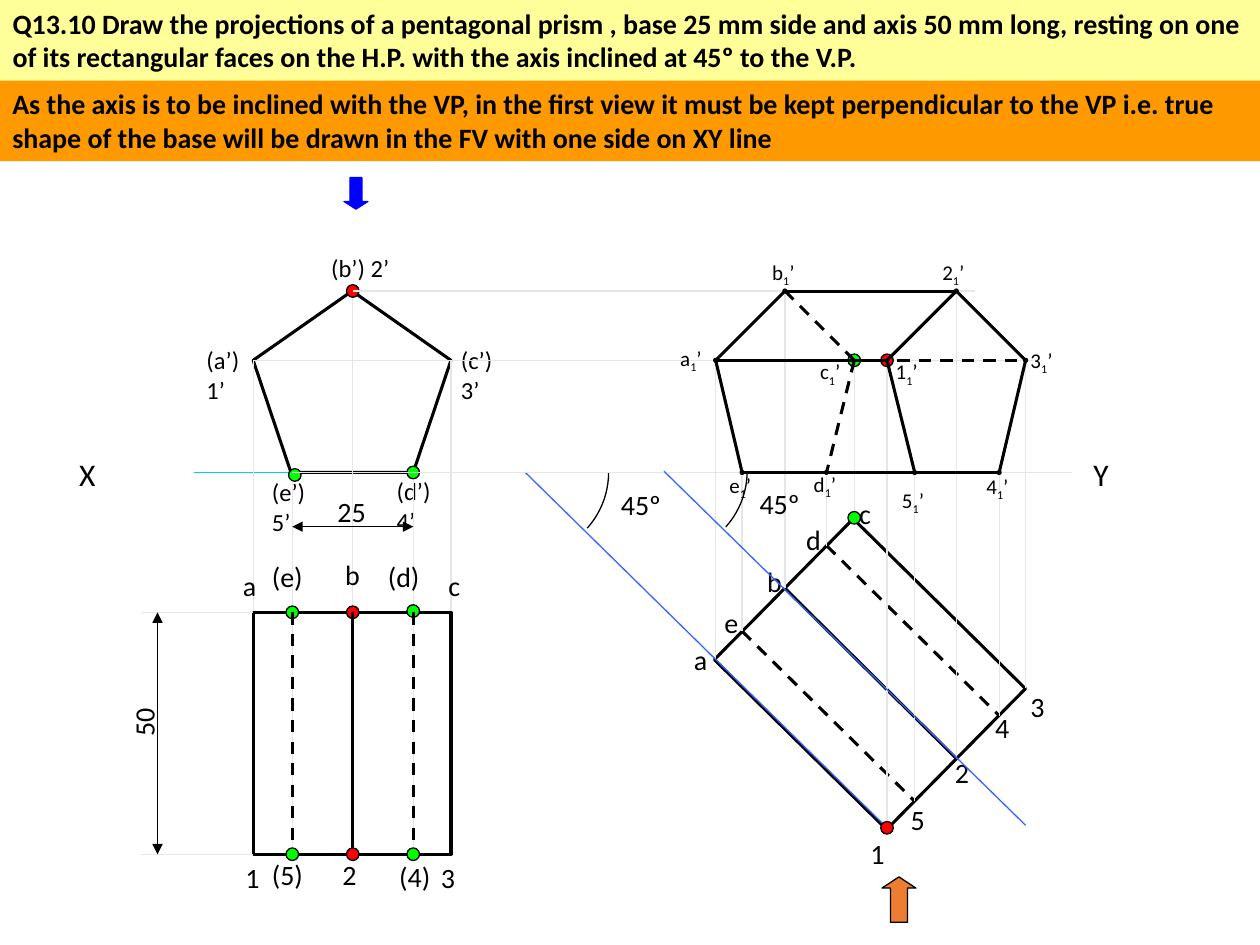
from dataclasses import dataclass
from typing import NamedTuple

from pptx import Presentation
from pptx.dml.color import RGBColor
from pptx.enum.dml import MSO_LINE
from pptx.enum.shapes import MSO_CONNECTOR, MSO_SHAPE
from pptx.enum.text import MSO_ANCHOR, MSO_AUTO_SIZE, PP_ALIGN
from pptx.oxml.ns import qn
from pptx.util import Inches, Pt
from lxml.etree import SubElement


@dataclass(frozen=True)
class Theme:
    font: str = "Calibri"
    ink: str = "000000"
    question: str = "FFFF99"
    hint: str = "FF9900"
    guide: str = "E7E6E6"
    ground: str = "00CCFF"
    slant: str = "3366FF"
    view_arrow: str = "0000FF"
    front_arrow: str = "ED7D31"
    red: str = "FF0000"
    green: str = "00FF00"
    vertex: str = "333333"
    thin: float = 0.75
    thick: float = 1.75
    axis_size: int = 18
    body_size: int = 16
    pair_size: int = 14
    index_size: int = 12


class Label(NamedTuple):
    text: str
    x: float
    y: float
    w: float = 0.36
    h: float = 0.37
    size: int = 16


T = Theme()
APEX, SHOULDER, GROUND = 2.31, 2.86, 3.75
REAR, FRONT = 4.86, 6.78
LEFT, LEFT_BASE, MIDDLE, RIGHT_BASE, RIGHT = 2.01, 2.32, 2.8, 3.28, 3.58

# Corners of the turned prism: plan position, and height in the front view
PLAN = {
    "a": (5.68, 5.23), "e": (5.89, 5.01), "b": (6.23, 4.67), "d": (6.56, 4.33), "c": (6.78, 4.11),
    "1": (7.04, 6.57), "5": (7.26, 6.36), "2": (7.59, 6.02), "4": (7.93, 5.68), "3": (8.14, 5.46),
}
LEVEL = {**dict.fromkeys("ac13", SHOULDER), **dict.fromkeys("b2", APEX), **dict.fromkeys("de45", GROUND)}
ELEVATION = {name: (x, LEVEL[name]) for name, (x, _) in PLAN.items()}

PAIR_LABELS = [
    Label(text, x, y, w, h, T.pair_size) for text, x, y, w, h in (
        ("(a’) 1’", 1.54, 2.69, 0.58, 0.57), ("(b’) 2’", 2.53, 1.96, 0.75, 0.33),
        ("(c’) 3’", 3.56, 2.69, 0.58, 0.57), ("(d’) 4’", 3.05, 3.73, 0.58, 0.57),
        ("(e’) 5’", 2.06, 3.74, 0.58, 0.57))
]
AXIS_LABELS = [Label(text, x, 3.56, 0.43, 0.4, T.axis_size) for text, x in (("X", 0.53), ("Y", 8.58))]
PLAN_LABELS = [
    Label("a", 1.83, 4.46), Label("b", 2.64, 4.38), Label("c", 3.46, 4.46),
    Label("(d)", 2.98, 4.39, 0.48), Label("(e)", 2.06, 4.39, 0.52),
    Label("1", 1.85, 6.78), Label("2", 2.62, 6.76), Label("3", 3.4, 6.78),
    Label("(5)", 2.06, 6.76, 0.47), Label("(4)", 3.07, 6.77, 0.49),
]
TURNED_LABELS = [
    Label("a", 5.41, 5.05), Label("b", 5.99, 4.43), Label("c", 6.72, 3.89), Label("d", 6.3, 4.1),
    Label("e", 5.65, 4.76), Label("1", 6.81, 6.59), Label("2", 7.48, 5.95), Label("3", 8.08, 5.42),
    Label("5", 7.13, 6.32), Label("4", 7.8, 5.59),
]
INDEXED_LABELS = [
    Label(text, x, y, 0.42, 0.3, T.index_size) for text, x, y in (
        ("a", 5.3, 2.69), ("b", 6.03, 2.01), ("c", 6.41, 2.8), ("d", 6.36, 3.69), ("e", 5.69, 3.7),
        ("1", 7.01, 2.8), ("2", 7.38, 2.01), ("3", 8.08, 2.71), ("4", 7.73, 3.71), ("5", 7.06, 3.82))
]


def rgb(color: str) -> RGBColor:
    return RGBColor.from_string(color)


def fill_solid(sp, color: str) -> None:
    sp.fill.solid()
    sp.fill.fore_color.rgb = rgb(color)


def set_text(sp, parts: list[str], size: int, bold: bool = False) -> None:
    """Write the parts as runs of one paragraph; every second part is a subscript."""
    tf = sp.text_frame
    tf.word_wrap = True
    tf.auto_size = MSO_AUTO_SIZE.SHAPE_TO_FIT_TEXT
    tf.vertical_anchor = MSO_ANCHOR.TOP
    p = tf.paragraphs[0]
    p.alignment = PP_ALIGN.LEFT
    p.font.name, p.font.size, p.font.bold = T.font, Pt(size), bold
    p.font.color.rgb = rgb(T.ink)
    for i, part in enumerate(parts):
        r = p.add_run()
        r.text = part
        if i % 2:
            r._r.get_or_add_rPr().set("baseline", "-25000")


def add_label(slide, label: Label, indexed: bool = False, rotation: float = 0) -> None:
    sp = slide.shapes.add_textbox(*map(Inches, label[1:5]))
    sp.rotation = rotation
    set_text(sp, [label.text, "1", "’"] if indexed else [label.text], label.size)


def add_outline(slide, kind, x, y, w, h, fill: str | None = None, line: str = T.ink, width: float = T.thin):
    sp = slide.shapes.add_shape(kind, *map(Inches, (x, y, w, h)))
    sp.shadow.inherit = False
    if fill:
        fill_solid(sp, fill)
    else:
        sp.fill.background()
    sp.line.color.rgb = rgb(line)
    sp.line.width = Pt(width)
    return sp


def add_bar(slide, sp, y: float, color: str, text: str) -> None:
    sp.left, sp.top, sp.width, sp.height = map(Inches, (0, y, 10, 0.64))
    fill_solid(sp, color)
    set_text(sp, [text], T.body_size, bold=True)


def add_dot(slide, x: float, y: float, color: str, d: float = 0.1) -> None:
    add_outline(slide, MSO_SHAPE.OVAL, x - d / 2, y - d / 2, d, d, color)


def add_line(slide, start, end, color: str = T.ink, width: float = T.thin,
             dashed: bool = False, arrows: bool = False, halves=None) -> None:
    """Draw a line; halves is a rectangle whose top and bottom middles it joins."""
    c = slide.shapes.add_connector(MSO_CONNECTOR.STRAIGHT, *map(Inches, (*start, *end)))
    if halves is not None:
        c.begin_connect(halves, 0)
        c.end_connect(halves, 2)
        # The joins ignore the rectangle's rotation, so place the ends again
        c.begin_x, c.begin_y, c.end_x, c.end_y = map(Inches, (*start, *end))
    c.line.color.rgb = rgb(color)
    c.line.width = Pt(width)
    if dashed:
        c.line.dash_style = MSO_LINE.DASH
    if arrows:
        for tag in ("a:headEnd", "a:tailEnd"):
            SubElement(c.line._get_or_add_ln(), qn(tag)).set("type", "triangle")
    SubElement(c._element.spPr, qn("a:effectLst"))


def add_angle(slide, x: float, y: float, radius: float = 0.66) -> None:
    """Draw the arc that marks the slant below the ground line, centred at x, y."""
    sp = add_outline(slide, MSO_SHAPE.ARC, x - radius, y - radius, 2 * radius, 2 * radius)
    sp.adjustments[0] = 0
    sp.adjustments[1] = 42 * 0.6
    add_label(slide, Label("45º", x + radius, y + 0.07, 0.58))


def draw_first_views(slide) -> None:
    add_line(slide, (1.54, GROUND), (8.4, GROUND), T.ground)
    add_outline(slide, MSO_SHAPE.REGULAR_PENTAGON, LEFT, APEX, RIGHT - LEFT, GROUND - APEX, width=T.thick)
    for label in AXIS_LABELS + PAIR_LABELS:
        add_label(slide, label)
    for x, y in ((LEFT, SHOULDER), (MIDDLE, APEX), (RIGHT, SHOULDER), (LEFT_BASE, GROUND), (RIGHT_BASE, GROUND)):
        add_line(slide, (x, y), (x, FRONT), T.guide)
    plan = add_outline(slide, MSO_SHAPE.RECTANGLE, LEFT, REAR, RIGHT - LEFT, FRONT - REAR, width=T.thick)
    sp = add_outline(slide, MSO_SHAPE.DOWN_ARROW, 2.73, 1.41, 0.19, 0.25, T.view_arrow, T.view_arrow)
    sp.adjustments[1] = 0.32
    for y in (APEX, REAR):
        add_dot(slide, MIDDLE, y, T.red)
    add_line(slide, (MIDDLE, REAR), (MIDDLE, FRONT), width=T.thick, halves=plan)
    for x, y in ((2.34, 3.77), (RIGHT_BASE, GROUND), (LEFT_BASE, REAR), (RIGHT_BASE, 4.85)):
        add_dot(slide, x, y, T.green)
    for x in (LEFT_BASE, RIGHT_BASE):
        add_line(slide, (x, REAR), (x, FRONT), width=T.thick, dashed=True)
    add_line(slide, (LEFT_BASE, 4.18), (RIGHT_BASE, 4.18), arrows=True)
    add_label(slide, Label("25", 2.58, 3.88, 0.58))
    for y in (REAR, FRONT):
        add_line(slide, (LEFT, y), (1.12, y), T.guide)
    add_line(slide, (1.25, REAR), (1.25, FRONT), arrows=True)
    add_label(slide, Label("50", 0.85, 5.47, 0.58), rotation=270)
    for label in PLAN_LABELS:
        add_label(slide, label)


def draw_turned_views(slide) -> None:
    add_angle(slide, 4.17, GROUND)
    plan = add_outline(slide, MSO_SHAPE.RECTANGLE, 6.12, 4.39, 1.57, 1.92, width=T.thick)
    plan.rotation = 314.6
    add_line(slide, PLAN["b"], PLAN["2"], width=T.thick, halves=plan)
    for rear, front in ("e5", "d4"):
        add_line(slide, PLAN[rear], PLAN[front], width=T.thick, dashed=True)
    for label in TURNED_LABELS:
        add_label(slide, label)
    for name, point in PLAN.items():
        add_line(slide, point, ELEVATION[name], T.guide)
    add_line(slide, PLAN["1"], (4.17, GROUND), T.slant)
    for start, end, y in ((MIDDLE, 7.74, APEX), (LEFT, 8.2, SHOULDER), (LEFT_BASE, 8.51, GROUND)):
        add_line(slide, (start, y), (end, y), T.guide)
    for x, y in ELEVATION.values():
        add_dot(slide, x, y, T.vertex, 0.03)
    for label in INDEXED_LABELS:
        add_label(slide, label, indexed=True)
    for name, color in (("1", T.red), ("c", T.green)):
        for view in (PLAN, ELEVATION):
            add_dot(slide, *view[name], color)
    for edges, dashed in ((("12", "15", "1a"), False), (("cd", "cb", "c3"), True),
                          (("ea", "ab", "b2", "23", "34", "e4"), False)):
        for start, end in edges:
            add_line(slide, ELEVATION[start], ELEVATION[end], width=T.thick, dashed=dashed)
    for x, color in ((MIDDLE, T.red), (LEFT_BASE, T.green), (RIGHT_BASE, T.green)):
        add_dot(slide, x, FRONT, color)
    sp = add_outline(slide, MSO_SHAPE.UP_ARROW, 7, 6.96, 0.27, 0.36, T.front_arrow)
    sp.adjustments[1] = 0.33
    add_angle(slide, 5.27, 3.74)
    add_line(slide, (8.14, 6.55), (5.27, 3.74), T.slant)


def main() -> None:
    prs = Presentation()
    prs.slide_width, prs.slide_height = Inches(10), Inches(7.5)
    slide = prs.slides.add_slide(prs.slide_layouts[5])
    add_bar(slide, slide.shapes.title, 0, T.question,
            "Q13.10 Draw the projections of a pentagonal prism , base 25 mm side and axis 50 mm long, "
            "resting on one of its rectangular faces on the H.P. with the axis inclined at 45º to the V.P.")
    add_bar(slide, slide.shapes.add_textbox(0, 0, 0, 0), 0.64, T.hint,
            "As the axis is to be inclined with the VP, in the first view it must be kept perpendicular "
            "to the VP i.e. true shape of the base will be drawn in the FV with one side on XY line")
    draw_first_views(slide)
    draw_turned_views(slide)
    prs.save("out.pptx")


if __name__ == "__main__":
    main()
